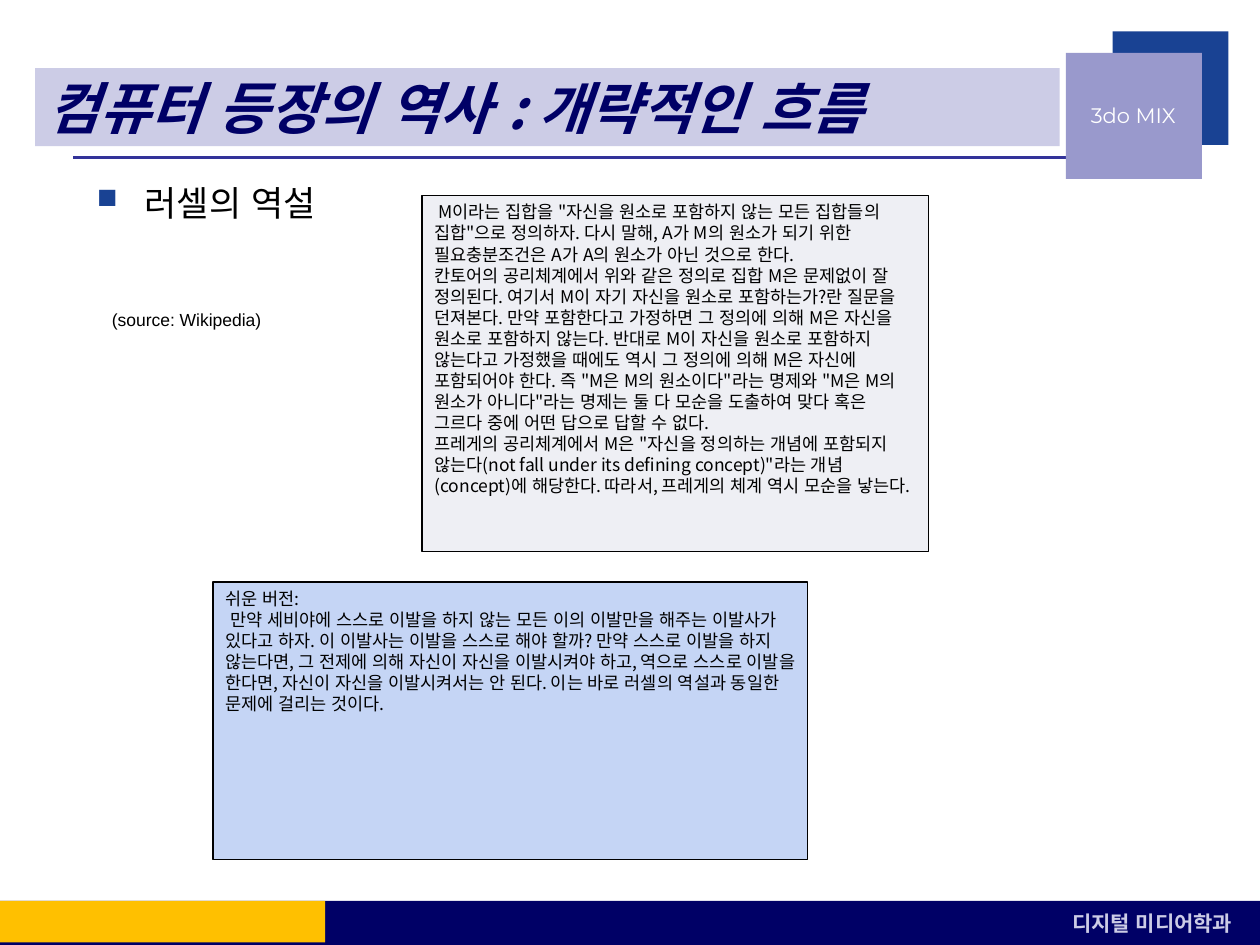
from lxml import etree
from pptx import Presentation
from pptx import util as u
from pptx.dml.color import RGBColor
from pptx.enum import lang, shapes, text
from pptx.oxml import ns

NAVY = RGBColor(0x00, 0x00, 0x66)
BLUE = RGBColor(0x19, 0x42, 0x93)
INDIGO = RGBColor(0x33, 0x33, 0x99)
LAVENDER = RGBColor(0x99, 0x99, 0xCC)
PALE_LAVENDER = RGBColor(0xCC, 0xCC, 0xE6)
GOLD = RGBColor(0xFF, 0xC0, 0x00)
PALE_BLUE = RGBColor(0xC5, 0xD5, 0xF5)
PALE_GREY = RGBColor(0xEE, 0xEF, 0xF4)
BLACK = RGBColor(0, 0, 0)
WHITE = RGBColor(0xFF, 0xFF, 0xFF)
KOREAN = "Noto Sans CJK KR"

PARADOX = [
    ' M이라는 집합을 "자신을 원소로 포함하지 않는 모든 집합들의 집합"으로 정의하자. '
    '다시 말해, A가 M의 원소가 되기 위한 필요충분조건은 A가 A의 원소가 아닌 것으로 한다.',
    '칸토어의 공리체계에서 위와 같은 정의로 집합 M은 문제없이 잘 정의된다. '
    '여기서 M이 자기 자신을 원소로 포함하는가?란 질문을 던져본다. '
    '만약 포함한다고 가정하면 그 정의에 의해 M은 자신을 원소로 포함하지 않는다. '
    '반대로 M이 자신을 원소로 포함하지 않는다고 가정했을 때에도 역시 그 정의에 의해 '
    'M은 자신에 포함되어야 한다. 즉 "M은 M의 원소이다"라는 명제와 '
    '"M은 M의 원소가 아니다"라는 명제는 둘 다 모순을 도출하여 '
    '맞다 혹은 그르다 중에 어떤 답으로 답할 수 없다.',
    '프레게의 공리체계에서 M은 "자신을 정의하는 개념에 포함되지 않는다'
    '(not fall under its defining concept)"라는 개념(concept)에 해당한다. '
    '따라서, 프레게의 체계 역시 모순을 낳는다.',
]
EASY_VERSION = [
    '쉬운 버전:',
    ' 만약 세비야에 스스로 이발을 하지 않는 모든 이의 이발만을 해주는 이발사가 있다고 하자. '
    '이 이발사는 이발을 스스로 해야 할까? 만약 스스로 이발을 하지 않는다면, '
    '그 전제에 의해 자신이 자신을 이발시켜야 하고, 역으로 스스로 이발을 한다면, '
    '자신이 자신을 이발시켜서는 안 된다. '
    '이는 바로 러셀의 역설과 동일한 문제에 걸리는 것이다.',
]


def add_block(page, left, top, width, height, fill, line=None):
    block = page.shapes.add_shape(
        shapes.MSO_SHAPE.RECTANGLE, *map(u.Inches, (left, top, width, height)))
    block.shadow.inherit = False
    block.fill.solid()
    block.fill.fore_color.rgb = fill
    if line is None:
        block.line.fill.background()
    else:
        block.line.color.rgb = line
        block.line.width = u.Pt(0.75)
    return block


def add_text_box(page, left, top, width, height):
    return page.shapes.add_textbox(*map(u.Inches, (left, top, width, height)))


def add_bullet(para, color, indent):
    """Give the paragraph a square bullet with a hanging indent."""
    props = para._p.get_or_add_pPr()
    props.set("marL", str(indent))
    props.set("indent", str(-indent))
    bullet_color = etree.SubElement(props, ns.qn("a:buClr"))
    etree.SubElement(bullet_color, ns.qn("a:srgbClr")).set("val", str(color))
    etree.SubElement(props, ns.qn("a:buSzPct")).set("val", "80000")
    etree.SubElement(props, ns.qn("a:buChar")).set("char", "■")


def write(box, paragraphs, size=10, font=KOREAN, color=BLACK, bold=False, italic=False,
          align=text.PP_ALIGN.LEFT, anchor=text.MSO_ANCHOR.TOP, wrap=True, bullet=None):
    frame = box.text_frame
    frame.word_wrap = wrap
    frame.vertical_anchor = anchor
    for index, words in enumerate(paragraphs):
        para = frame.add_paragraph() if index else frame.paragraphs[0]
        para.alignment = align
        if bullet is not None:
            add_bullet(para, bullet, u.Inches(0.38))
        span = para.add_run()
        span.text = words
        span.font.size = u.Pt(size)
        span.font.name = font
        span.font.bold = bold
        span.font.italic = italic
        span.font.color.rgb = color
        span.font.language_id = lang.MSO_LANGUAGE_ID.KOREAN
        latin = span._r.rPr.find(ns.qn("a:latin"))
        east_asian = etree.Element(ns.qn("a:ea"))
        east_asian.set("typeface", font)
        latin.addnext(east_asian)


def add_rule(page, left, top, width):
    rule = page.shapes.add_connector(
        shapes.MSO_CONNECTOR.STRAIGHT, u.Inches(left), u.Inches(top),
        u.Inches(left + width), u.Inches(top))
    rule.line.color.rgb = INDIGO
    rule.line.width = u.Pt(2.25)
    etree.SubElement(rule._element.spPr, ns.qn("a:effectLst"))


def add_badge(page, left, top):
    add_block(page, left + 0.37, top, 0.92, 0.9, BLUE)
    add_block(page, left, top + 0.17, 1.08, 1, LAVENDER)
    label = add_text_box(page, left - 0.15, top + 0.33, 1.12, 0.67)
    write(label, ["3do MIX"], size=12, font="Montserrat", color=WHITE, wrap=False,
          align=text.PP_ALIGN.RIGHT, anchor=text.MSO_ANCHOR.MIDDLE)


def add_footer(page, left, top, width, height):
    add_block(page, left, top, width, height, NAVY)
    add_block(page, left, top, 2.58, height - 0.02, GOLD)
    department = add_block(page, left + width - 1.59, top + 0.03, 1.58, 0.3, NAVY)
    write(department, ["디지털 미디어학과"], size=12, color=PALE_LAVENDER, bold=True)


def add_title(page, left, top, width, height):
    title = add_block(page, left, top, width, height, PALE_LAVENDER)
    write(title, ["컴퓨터 등장의 역사 : 개략적인 흐름"], size=32, color=NAVY,
          bold=True, italic=True, anchor=text.MSO_ANCHOR.MIDDLE)


def add_content(page, left, top, width, height):
    topic = add_text_box(page, left, top, width, height)
    write(topic, ["러셀의 역설"], size=20, bullet=BLUE)
    write(add_block(page, left + 1.02, top + 3.23, 4.72, 2.2, PALE_BLUE, BLACK), EASY_VERSION)
    write(add_block(page, left + 2.68, top + 0.16, 4.02, 2.83, PALE_GREY, BLACK), PARADOX)
    source = add_text_box(page, left + 0.12, top + 1.01, 1.4, 0.27)
    write(source, ["(source: Wikipedia)"], font="Arial", wrap=False)


def main():
    deck = Presentation()
    deck.slide_width, deck.slide_height = u.Inches(10), u.Inches(7.5)
    page = deck.slides.add_slide(deck.slide_layouts[6])
    add_rule(page, 0.58, 1.25, 7.92)
    add_badge(page, 8.46, 0.25)
    add_footer(page, 0, 7.15, 10, 0.35)
    add_title(page, 0.28, 0.54, 8.13, 0.62)
    add_content(page, 0.67, 1.39, 9.88, 5.53)
    deck.save("out.pptx")


if __name__ == "__main__":
    main()
